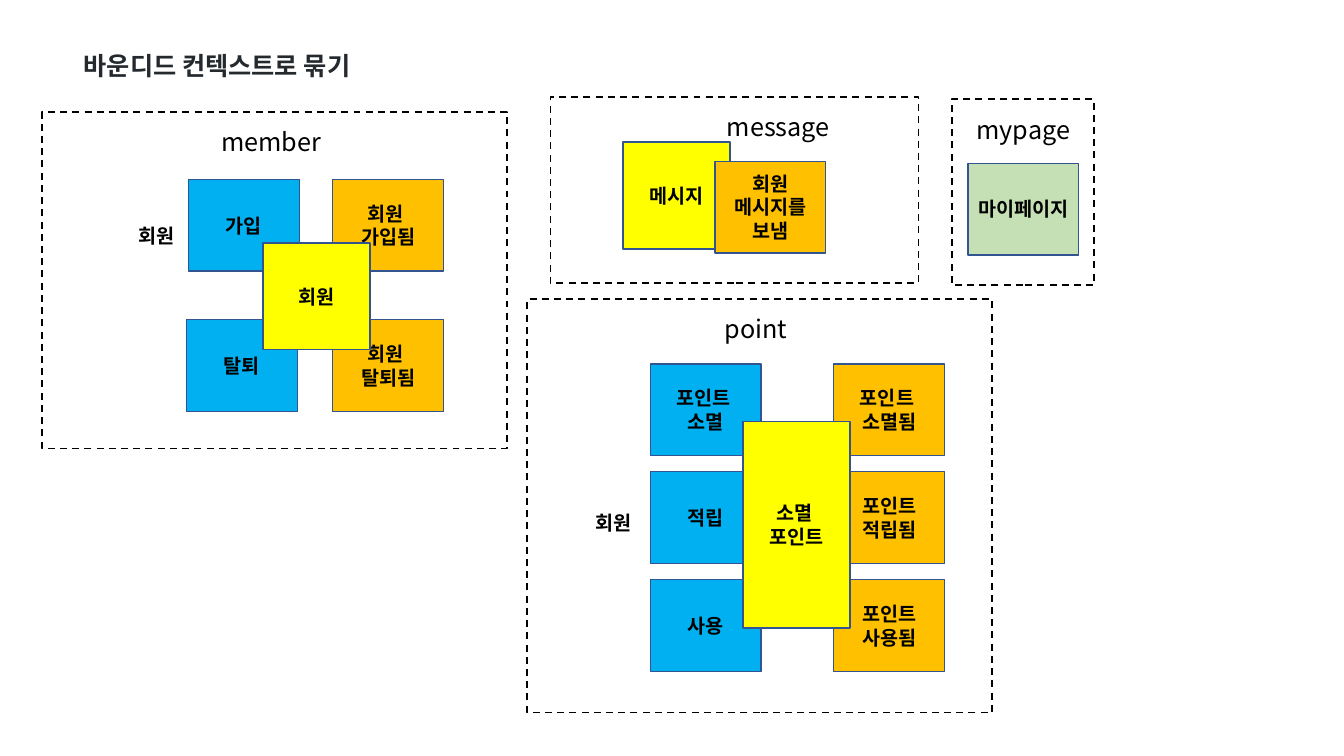
"""Build a slide that groups event-storming notes into bounded contexts."""
from lxml.etree import SubElement
from pptx import Presentation
from pptx.dml.color import RGBColor
from pptx.enum.dml import MSO_LINE
from pptx.enum.shapes import MSO_SHAPE
from pptx.enum.text import MSO_ANCHOR, PP_ALIGN
from pptx.oxml.ns import qn
from pptx.util import Inches, Pt

FONT = "Noto Sans CJK KR"
COMMAND, EVENT, AGGREGATE, VIEW = "00B0F0", "FFC000", "FFFF00", "C5E0B4"
NOTE_WIDTH, NOTE_HEIGHT, AGGREGATE_WIDTH = 1.1, 0.91, 1.06


def color(value):
    return RGBColor.from_string(value)


def write(shape, text, size, bold, align=PP_ALIGN.CENTER, font="Noto Sans CJK KR", ink="000000"):
    frame = shape.text_frame
    frame.text = text
    frame.word_wrap = True
    frame.vertical_anchor = MSO_ANCHOR.MIDDLE
    for paragraph in frame.paragraphs:
        paragraph.alignment = align
        for run in paragraph.runs:
            run.font.size = Pt(size)
            run.font.bold = bold
            run.font.color.rgb = color(ink)
            run.font.name = font
            SubElement(run._r.get_or_add_rPr(), qn("a:ea"), typeface=FONT)


presentation = Presentation()
presentation.slide_width = Inches(13.33)
presentation.slide_height = Inches(7.5)
slide = presentation.slides.add_slide(presentation.slide_layouts[5])

title = slide.shapes.title
title.left, title.top = Inches(0.73), Inches(0.41)
title.width, title.height = Inches(3.99), Inches(0.47)
write(title, "바운디드 컨텍스트로 묶기", 18, True, PP_ALIGN.LEFT, "Lato", "24292E")

notes = [
    ("가입", COMMAND, 1.87, 1.78, NOTE_WIDTH, NOTE_HEIGHT),
    ("회원 \n탈퇴됨", EVENT, 3.3, 3.17, NOTE_WIDTH, NOTE_HEIGHT),
    ("회원 \n가입됨", EVENT, 3.3, 1.78, NOTE_WIDTH, NOTE_HEIGHT),
    ("탈퇴", COMMAND, 1.85, 3.17, NOTE_WIDTH, NOTE_HEIGHT),
    ("회원", AGGREGATE, 2.61, 2.41, AGGREGATE_WIDTH, 1.06),
    ("메시지", AGGREGATE, 6.18, 1.41, AGGREGATE_WIDTH, 1.06),
    ("회원 메시지를 보냄", EVENT, 7.09, 1.6, NOTE_WIDTH, NOTE_HEIGHT),
    ("마이페이지", VIEW, 9.6, 1.62, NOTE_WIDTH, NOTE_HEIGHT),
]
point_rows = [
    ("포인트 \n소멸", "포인트 \n소멸됨"),
    ("적립", "포인트\n적립됨"),
    ("사용", "포인트\n사용됨"),
]
for row, (command, event) in enumerate(point_rows):
    top = 3.61 + 1.07 * row
    notes.append((command, COMMAND, 6.45, top, NOTE_WIDTH, NOTE_HEIGHT))
    notes.append((event, EVENT, 8.27, top, NOTE_WIDTH, NOTE_HEIGHT))
notes.append(("소멸 \n포인트", AGGREGATE, 7.37, 4.18, AGGREGATE_WIDTH, 2.05))

for text, fill, left, top, width, height in notes:
    note = slide.shapes.add_shape(
        MSO_SHAPE.RECTANGLE, Inches(left), Inches(top), Inches(width), Inches(height))
    note.shadow.inherit = False
    note.fill.solid()
    note.fill.fore_color.rgb = color(fill)
    note.line.color.rgb = color("325491")
    note.line.width = Pt(1)
    note.text_frame.margin_left = note.text_frame.margin_right = Inches(0.05)
    write(note, text, 14, True)

contexts = [
    (0.42, 1.11, 4.61, 3.34),
    (5.46, 0.96, 3.65, 1.85),
    (5.23, 2.97, 4.61, 4.1),
    (9.44, 0.98, 1.41, 1.85),
]
for left, top, width, height in contexts:
    context = slide.shapes.add_shape(
        MSO_SHAPE.RECTANGLE, Inches(left), Inches(top), Inches(width), Inches(height))
    context.shadow.inherit = False
    context.fill.background()
    context.line.color.rgb = color("000000")
    context.line.width = Pt(1.25)
    context.line.dash_style = MSO_LINE.DASH

labels = [
    ("member", 1.92, 1.08, 1.54, 0.64, 18, False),
    ("message", 6.95, 0.93, 1.54, 0.64, 18, False),
    ("point", 6.73, 2.94, 1.54, 0.64, 18, False),
    ("mypage", 9.38, 0.96, 1.54, 0.64, 18, False),
    ("회원", 1.23, 2.13, 0.65, 0.41, 14, True),
    ("회원", 5.76, 4.98, 0.65, 0.41, 14, True),
]
for text, left, top, width, height, size, bold in labels:
    label = slide.shapes.add_textbox(Inches(left), Inches(top), Inches(width), Inches(height))
    write(label, text, size, bold)

presentation.save("out.pptx")
